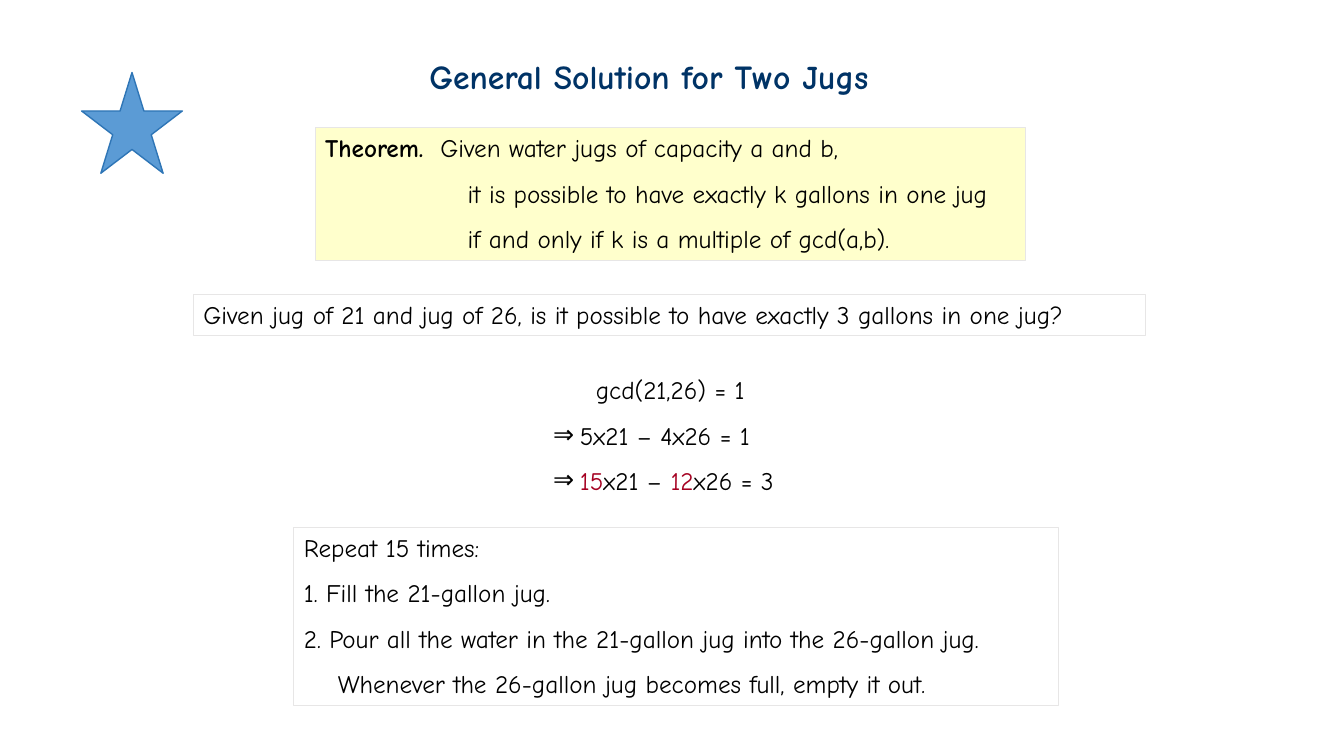
from lxml.etree import SubElement
from pptx import Presentation
from pptx.dml.color import RGBColor
from pptx.enum.shapes import MSO_SHAPE as Shape
from pptx.enum.text import MSO_ANCHOR as Anchor, MSO_AUTO_SIZE as AutoSize, PP_ALIGN as Align
from pptx.oxml.ns import qn
from pptx.util import Pt

BLACK = RGBColor(0x00, 0x00, 0x00)
NAVY = RGBColor(0x00, 0x33, 0x66)
CRIMSON = RGBColor(0xA5, 0x00, 0x21)
CREAM = RGBColor(0xFF, 0xFF, 0xCC)
PALE_GREY = RGBColor(0xE7, 0xE6, 0xE6)
STAR_BLUE = RGBColor(0x5B, 0x9B, 0xD5)
STAR_EDGE = RGBColor(0x2E, 0x75, 0xB6)

FONT = "Comic Neue"
FRAME_FORMAT = {
    "word_wrap": True,
    "auto_size": AutoSize.NONE,
    "vertical_anchor": Anchor.TOP,
    "margin_left": Pt(7.2),
    "margin_right": Pt(7.2),
    "margin_top": Pt(3.6),
    "margin_bottom": Pt(3.6),
}
BODY_FORMAT = {"name": FONT, "size": Pt(18), "bold": False}
BOLD_FORMAT = {**BODY_FORMAT, "bold": True}
TITLE_FORMAT = {**BOLD_FORMAT, "size": Pt(24)}


def apply_format(target, values):
    for name, value in values.items():
        setattr(target, name, value)


def add_run(paragraph, text, color=BLACK, values=BODY_FORMAT):
    run = paragraph.add_run()
    run.text = text
    apply_format(run.font, values)
    run.font.color.rgb = color


def set_indent(paragraph, left, bullet=None):
    """Indent a paragraph, with a hanging black bullet if given."""
    properties = paragraph._p.get_or_add_pPr()
    properties.set("marL", str(Pt(left)))
    properties.set("indent", str(Pt(-left if bullet else 0)))
    if bullet:
        bullet_color = SubElement(properties, qn("a:buClr"))
        SubElement(bullet_color, qn("a:srgbClr"), val=str(BLACK))
        SubElement(properties, qn("a:buFont"), typeface=FONT)
        SubElement(properties, qn("a:buChar"), char=bullet)


def write_lines(frame, lines):
    """Write (runs, indent settings) pairs; lines after the first are 1.5 spaced."""
    apply_format(frame, FRAME_FORMAT)
    for number, (runs, indent) in enumerate(lines):
        paragraph = frame.add_paragraph() if number else frame.paragraphs[0]
        set_indent(paragraph, **indent)
        paragraph.alignment = Align.LEFT
        paragraph.line_spacing = 1.5 if number else 1.0
        for run in runs:
            add_run(paragraph, *run)


def add_filled(slide, kind, place, fill, edge, edge_width):
    shape = slide.shapes.add_shape(kind, *map(Pt, place))
    shape.shadow.inherit = False
    if fill is None:
        shape.fill.background()
    else:
        shape.fill.solid()
        shape.fill.fore_color.rgb = fill
    shape.line.color.rgb = edge
    shape.line.width = Pt(edge_width)
    return shape


def add_box(slide, place, lines, fill=None):
    box = add_filled(slide, Shape.RECTANGLE, place, fill, PALE_GREY, 0.75)
    write_lines(box.text_frame, lines)


def set_title(slide, text, place):
    title = slide.shapes.title
    title.left, title.top, title.width, title.height = map(Pt, place)
    write_lines(title.text_frame, [([(text, NAVY, TITLE_FORMAT)], {"left": 0})])


def main():
    deck = Presentation()
    deck.slide_width, deck.slide_height = Pt(960), Pt(540)
    slide = deck.slides.add_slide(deck.slide_layouts[5])
    set_title(slide, "General Solution for Two Jugs", (299.5, 36, 366.5, 36))

    # Theorem
    flush, clause = {"left": 0}, {"left": 101.8}
    add_box(slide, (225.2, 91.3, 507.6, 94.6), [
        ([("Theorem.", BLACK, BOLD_FORMAT),
          ("  Given water jugs of capacity a and b,",)], flush),
        ([("it is possible to have exactly k gallons in one jug",)], clause),
        ([("if and only if k is a multiple of gcd(a,b).",)], clause),
    ], CREAM)

    # Question
    add_box(slide, (138.2, 210.2, 680.4, 29.5), [
        ([("Given jug of 21 and jug of 26, is it possible to have "
           "exactly 3 gallons in one jug?",)], flush),
    ])

    # Derivation
    implied = {"left": 19, "bullet": "⇒"}
    derivation = slide.shapes.add_textbox(*map(Pt, (388.1, 264.2, 187.9, 93.6)))
    write_lines(derivation.text_frame, [
        ([("gcd(21,26) = 1",)], {"left": 30.4}),
        ([("5x21 – 4x26 = 1",)], implied),
        ([("15", CRIMSON), ("x21 – ",), ("12", CRIMSON), ("x26 = 3",)], implied),
    ])

    # Procedure
    add_box(slide, (210, 376.6, 546, 127.4), [
        ([("Repeat 15 times:",)], flush),
        ([("1. Fill the 21-gallon jug.",)], flush),
        ([("2. Pour all the water in the 21-gallon jug into the 26-gallon jug.",)], flush),
        ([("Whenever the 26-gallon jug becomes full, empty it out.",)], {"left": 24.2}),
    ])

    # Star
    add_filled(slide, Shape.STAR_5_POINT, (58.3, 51.8, 72, 72), STAR_BLUE, STAR_EDGE, 1)

    deck.save("out.pptx")


if __name__ == "__main__":
    main()
